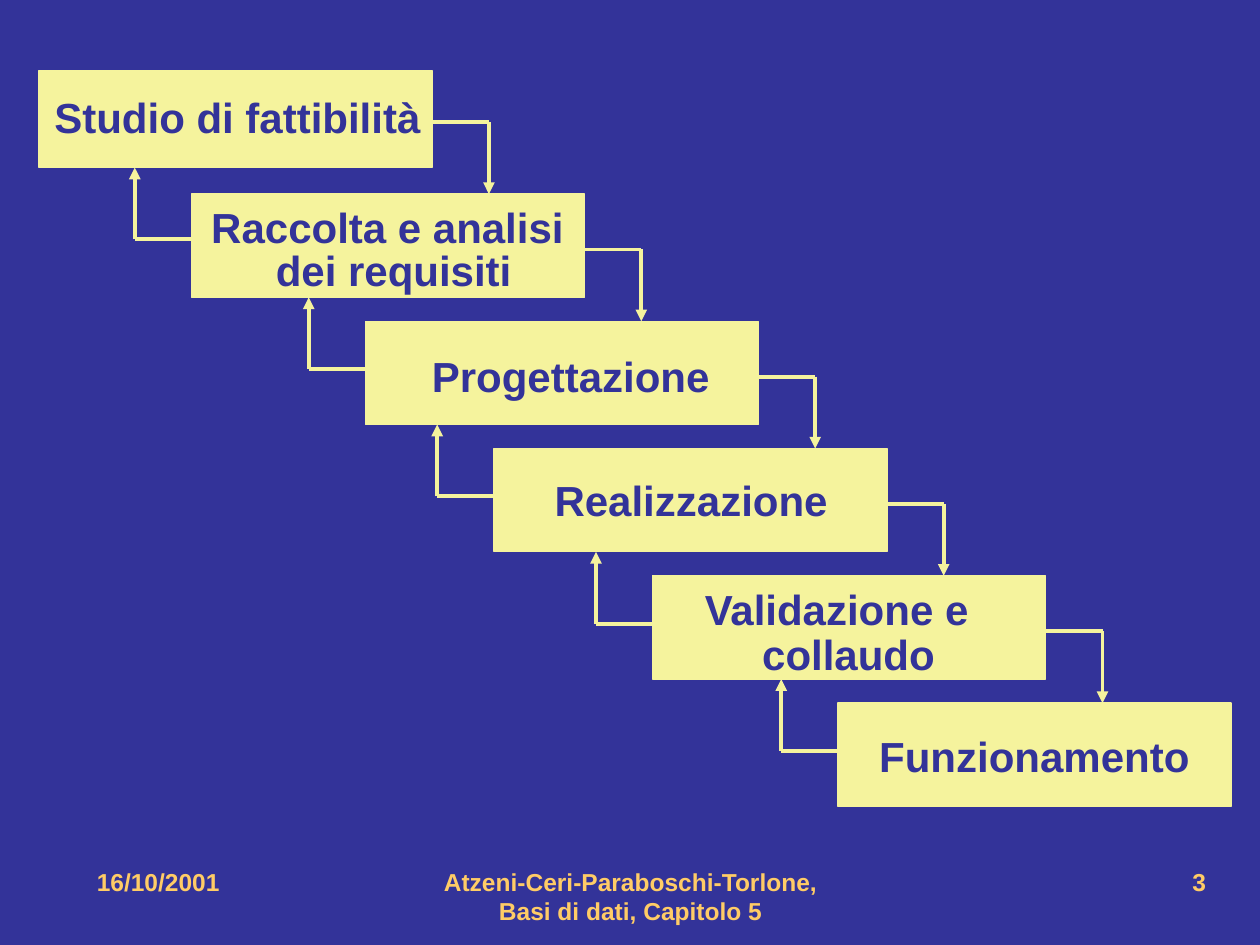
from dataclasses import dataclass
from itertools import pairwise

from lxml.etree import SubElement
from pptx import Presentation
from pptx.dml.color import RGBColor
from pptx.enum.shapes import MSO_CONNECTOR as Connector, MSO_SHAPE as Shape
from pptx.enum.text import MSO_ANCHOR as Anchor, PP_ALIGN as Align
from pptx.oxml.ns import qn
from pptx.util import Inches, Pt

COLORS = {"background": "333399", "step": "F5F39D", "label": "333399", "footer": "FFCC66"}
COLUMNS, ROWS = 100, 75
STEP_WIDTH, STEP_HEIGHT, STEP_PITCH = 31.2, 8.2, 10.1
FIRST_TOP, SECOND_TOP, FIRST_HEIGHT = 5.6, 15.4, 7.7
LABEL_HEIGHT = 4
ELBOW_WIDTH, ELBOW_HEIGHT = 4.5, 5.7
FOOTER_TOP, FOOTER_HEIGHT = 68.3, 5
LABEL_FONT = {"name": "Arial", "size": Pt(24), "bold": True}
FOOTER_FONT = {"name": "Arial", "size": Pt(14), "bold": True}
LABEL_FRAME = {"margin_left": 0, "margin_right": 0, "margin_top": 0,
               "margin_bottom": 0, "word_wrap": False, "vertical_anchor": Anchor.TOP}


@dataclass
class Label:
    text: str
    left: float
    width: float
    offset: float


@dataclass
class Step:
    left: float
    labels: list[Label]
    top: float = FIRST_TOP
    height: float = STEP_HEIGHT

    @property
    def right(self) -> float:
        return self.left + STEP_WIDTH

    @property
    def bottom(self) -> float:
        return self.top + self.height


@dataclass
class Footer:
    text: str
    left: float
    width: float
    alignment: Align


STEPS = [
    Step(3.1, [Label("Studio di fattibilità", 4.3, 29.1, 1.7)], height=FIRST_HEIGHT),
    Step(15.2, [Label("Raccolta e analisi", 16.7, 28.1, 0.6),
                Label("dei requisiti", 21.9, 18.7, 4)]),
    Step(29, [Label("Progettazione", 34.3, 22, 2.3)]),
    Step(39.2, [Label("Realizzazione", 39.7, 30.3, 2.1)]),
    Step(51.8, [Label("Validazione e", 55.9, 21, 0.6),
                Label("collaudo", 60.5, 13.7, 4.2)]),
    Step(66.5, [Label("Funzionamento", 69.8, 24.6, 2.2)]),
]
for index, step in enumerate(STEPS[1:]):
    step.top = SECOND_TOP + index * STEP_PITCH

FOOTERS = [
    Footer("16/10/2001", 6.7, 21.7, Align.LEFT),
    Footer("Atzeni-Ceri-Paraboschi-Torlone, Basi di dati, Capitolo 5", 34.2, 31.7, Align.CENTER),
    Footer("3", 71.7, 25, Align.RIGHT),
]

presentation = Presentation()
presentation.slide_width, presentation.slide_height = Inches(10), Inches(7.5)
slide = presentation.slides.add_slide(presentation.slide_layouts[6])


def color(name: str) -> RGBColor:
    return RGBColor.from_string(COLORS[name])


def x(columns: float) -> int:
    return round(presentation.slide_width * columns / COLUMNS)


def y(rows: float) -> int:
    return round(presentation.slide_height * rows / ROWS)


def set_all(target, values: dict) -> None:
    for name, value in values.items():
        setattr(target, name, value)


def write(shape, text: str, font: dict, color_name: str, alignment: Align) -> None:
    paragraph = shape.text_frame.paragraphs[0]
    paragraph.alignment = alignment
    run = paragraph.add_run()
    run.text = text
    set_all(run.font, font)
    run.font.color.rgb = color(color_name)


def add_box(left: float, top: float, width: float, height: float):
    shape = slide.shapes.add_shape(Shape.RECTANGLE, x(left), y(top), x(width), y(height))
    shape.shadow.inherit = False
    shape.fill.solid()
    shape.fill.fore_color.rgb = color("step")
    shape.line.color.rgb = color("step")
    shape.line.width = Pt(0.75)
    return shape


def add_step(step: Step) -> None:
    add_box(step.left, step.top, STEP_WIDTH, step.height)
    for label in step.labels:
        shape = add_box(label.left, step.top + label.offset, label.width, LABEL_HEIGHT)
        set_all(shape.text_frame, LABEL_FRAME)
        write(shape, label.text, LABEL_FONT, "label", Align.CENTER)


def add_line(start: tuple[float, float], end: tuple[float, float], arrow: bool) -> None:
    connector = slide.shapes.add_connector(
        Connector.STRAIGHT, x(start[0]), y(start[1]), x(end[0]), y(end[1]))
    connector.line.color.rgb = color("step")
    connector.line.width = Pt(2.25)
    if arrow:
        SubElement(connector.line._get_or_add_ln(), qn("a:tailEnd"), type="triangle")
    SubElement(connector._element.spPr, qn("a:effectLst"))


def add_elbow(start: tuple[float, float], corner_x: float, tip_y: float) -> None:
    corner = (corner_x, start[1])
    add_line(start, corner, arrow=False)
    add_line(corner, (corner_x, tip_y), arrow=True)


def add_footer(footer: Footer) -> None:
    shape = slide.shapes.add_textbox(
        x(footer.left), y(FOOTER_TOP), x(footer.width), y(FOOTER_HEIGHT))
    shape.text_frame.word_wrap = True
    write(shape, footer.text, FOOTER_FONT, "footer", footer.alignment)


def main() -> None:
    slide.background.fill.solid()
    slide.background.fill.fore_color.rgb = color("background")
    for step in STEPS:
        add_step(step)
    for upper, lower in pairwise(STEPS):
        add_elbow((upper.right, lower.top - ELBOW_HEIGHT), upper.right + ELBOW_WIDTH, lower.top)
        add_elbow((lower.left, upper.bottom + ELBOW_HEIGHT), lower.left - ELBOW_WIDTH, upper.bottom)
    for footer in FOOTERS:
        add_footer(footer)
    presentation.save("out.pptx")


if __name__ == "__main__":
    main()
